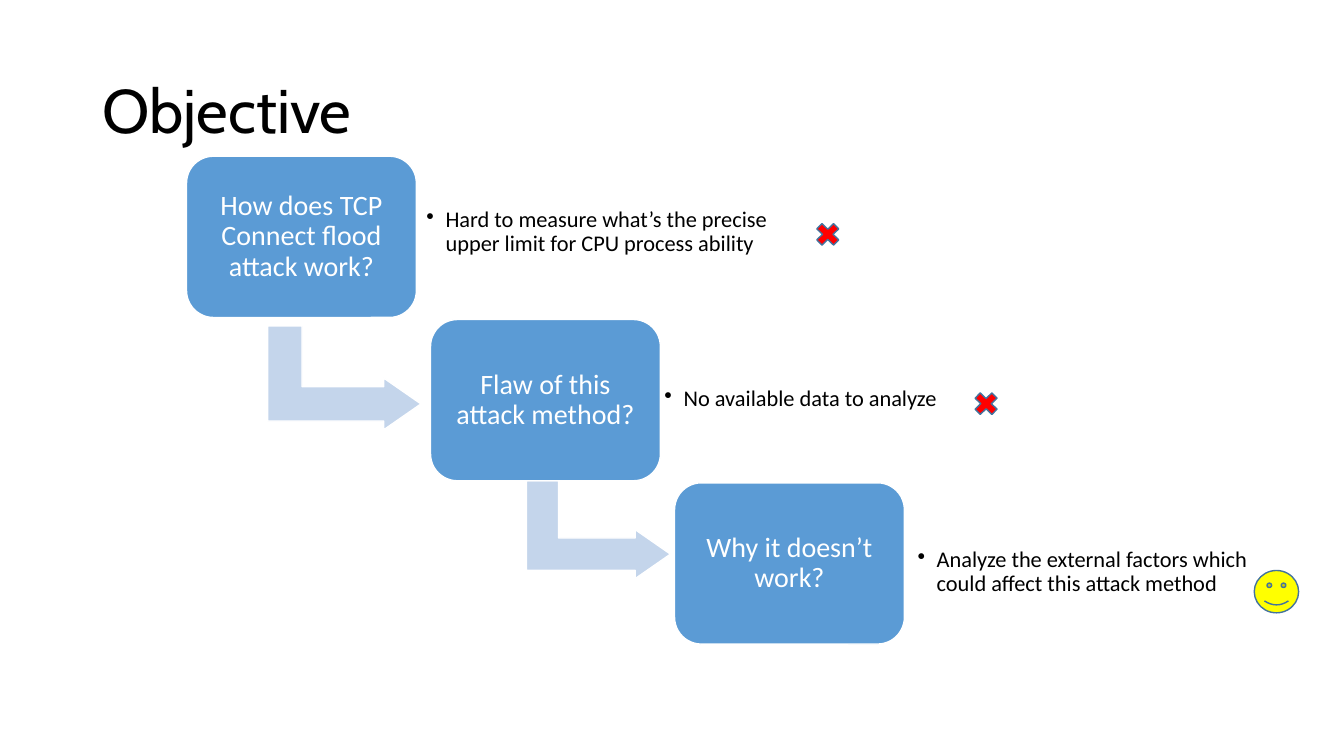
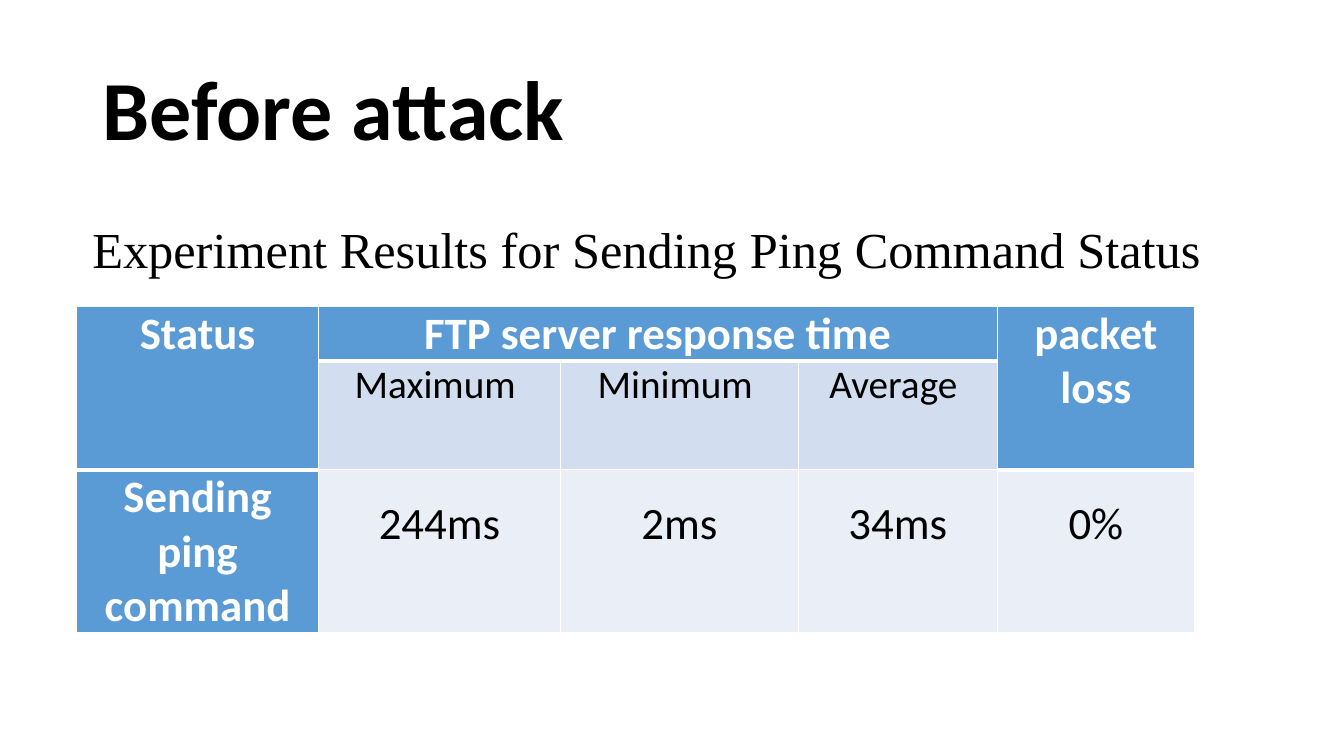
from lxml.etree import SubElement
from pptx import Presentation
from pptx.dml.color import RGBColor
from pptx.enum.shapes import MSO_SHAPE
from pptx.enum.text import MSO_ANCHOR, PP_ALIGN
from pptx.oxml.ns import qn
from pptx.util import Inches, Pt

BLUE = RGBColor(0x5B, 0x9B, 0xD5)
PALE = RGBColor(0xC4, 0xD5, 0xEB)
EDGE = RGBColor(0x43, 0x73, 0x9E)
BAND = RGBColor(0xD2, 0xDE, 0xEF)
LIGHT = RGBColor(0xEA, 0xEF, 0xF7)
RED = RGBColor(0xFF, 0, 0)
YELLOW = RGBColor(0xFF, 0xFF, 0)
WHITE = RGBColor(0xFF, 0xFF, 0xFF)
BLACK = RGBColor(0, 0, 0)


def write(frame, text, size, font="Calibri", color=BLACK, bold=False,
          align=PP_ALIGN.LEFT, space=1.0, pad=None, wrap=True, bullet=False):
    frame.word_wrap = wrap
    frame.vertical_anchor = MSO_ANCHOR.MIDDLE
    if pad is not None:
        frame.margin_left = frame.margin_right = Inches(pad)
        frame.margin_top = frame.margin_bottom = Inches(pad)
    frame.text = text
    for para in frame.paragraphs:
        para.alignment = align
        para.line_spacing = space
        face = para.runs[0].font
        face.name, face.size, face.bold = font, Pt(size), bold
        face.color.rgb = color
        if bullet:
            props = para._p.get_or_add_pPr()
            props.set("marL", str(Inches(0.19)))
            props.set("indent", str(-Inches(0.19)))
            SubElement(props, qn("a:buChar")).set("char", "•")


def draw(slide, kind, left, top, width, height, fill, line):
    shape = slide.shapes.add_shape(
        kind, Inches(left), Inches(top), Inches(width), Inches(height))
    shape.shadow.inherit = False
    shape.fill.solid()
    shape.fill.fore_color.rgb = fill
    shape.line.color.rgb = line
    shape.line.width = Pt(1)
    return shape


deck = Presentation()
deck.slide_width, deck.slide_height = Inches(13.33), Inches(7.5)

slides = []
for text, size, font, bold in [("Objective", 44, "Cabin", False),
                               ("Before attack", 60, "Calibri", True)]:
    slide = deck.slides.add_slide(deck.slide_layouts[6])
    title = slide.shapes.add_textbox(
        Inches(0.92), Inches(0.4), Inches(11.5), Inches(1.45))
    write(title.text_frame, text, size, font=font, bold=bold, space=0.9)
    slides.append(slide)
goals, results = slides

for left, top, width, height in [(2.9, 2.99, 1.03, 1.52),
                                 (5.45, 4.54, 0.97, 1.43)]:
    arrow = draw(goals, MSO_SHAPE.BENT_UP_ARROW, left, top, width, height,
                 PALE, WHITE)
    arrow.rotation = 90
    for spot, value in enumerate([0.33, 0.25, 0.36]):
        arrow.adjustments[spot] = value

steps = [
    ("How does TCP Connect flood attack work?",
     "Hard to measure what’s the precise upper limit for CPU process ability",
     (4.16, 1.66, 3.86, 1.29)),
    ("Flaw of this attack method?", "No available data to analyze",
     (6.52, 3.32, 4.39, 1.29)),
    ("Why it doesn’t work?",
     "Analyze the external factors which could affect this attack method",
     (9.03, 5.07, 3.59, 1.22)),
]
for index, (ask, note, place) in enumerate(steps):
    step = draw(goals, MSO_SHAPE.ROUNDED_RECTANGLE, 1.85 + 2.42 * index,
                1.55 + 1.62 * index, 2.28, 1.6, BLUE, WHITE)
    write(step.text_frame, ask, 20, color=WHITE, align=PP_ALIGN.CENTER,
          space=0.9, pad=0.08)
    label = goals.shapes.add_textbox(*[Inches(value) for value in place])
    write(label.text_frame, note, 16, space=0.9, pad=0.07, bullet=True)

for left, top in [(8.05, 2.17), (9.62, 3.85)]:
    draw(goals, MSO_SHAPE.MATH_MULTIPLY, left, top, 0.32, 0.31, RED, EDGE)
draw(goals, MSO_SHAPE.SMILEY_FACE, 12.44, 5.66, 0.44, 0.42, YELLOW, EDGE)

rows = [
    ["Status", "FTP server response time", "", "", "packet\nloss"],
    ["", "Maximum ", "Minimum ", "Average ", ""],
    ["Sending ping command", "244ms", "2ms", "34ms", "0%"],
]
widths = [2.4, 2.4, 2.36, 1.97, 1.96]
heights = [0.54, 1.08, 1.62]
grid = results.shapes.add_table(
    3, 5, Inches(0.76), Inches(3.04), Inches(sum(widths)),
    Inches(sum(heights))).table
grid.first_row = grid.horz_banding = False
for column, width in zip(grid.columns, widths):
    column.width = Inches(width)
for row, height in zip(grid.rows, heights):
    row.height = Inches(height)
grid.cell(0, 0).merge(grid.cell(1, 0))
grid.cell(0, 1).merge(grid.cell(0, 3))
grid.cell(0, 4).merge(grid.cell(1, 4))

for r, row in enumerate(rows):
    for c, text in enumerate(row):
        cell = grid.cell(r, c)
        top = r == 0 or (r == 1 and c in (0, 4))
        head = top or c == 0
        sides = {"lnL": 1, "lnR": 1, "lnB": 3 if top else 1}
        if r == 0:
            sides = {"lnL": 1, "lnR": 1, "lnT": 1, "lnB": 3}
        props = cell._tc.get_or_add_tcPr()
        for side, width in sides.items():
            line = SubElement(props, qn("a:" + side), w=str(Pt(width)))
            paint = SubElement(line, qn("a:solidFill"))
            SubElement(paint, qn("a:srgbClr"), val=str(WHITE))
        cell.fill.solid()
        cell.fill.fore_color.rgb = BLUE if head else BAND if r == 1 else LIGHT
        cell.margin_left = cell.margin_right = Inches(0.07)
        cell.margin_top = cell.margin_bottom = 0
        if text:
            write(cell.text_frame, text, 28 if r == 1 else 32, bold=head,
                  color=WHITE if head else BLACK, align=PP_ALIGN.CENTER,
                  space=1.5 if r == 2 and c else 1.0)
        cell.vertical_anchor = MSO_ANCHOR.TOP

caption = results.shapes.add_textbox(
    Inches(0.76), Inches(2.11), Inches(11.31), Inches(0.71))
write(caption.text_frame, "Experiment Results for Sending Ping Command Status",
      36, font="Times New Roman", align=PP_ALIGN.CENTER, wrap=False)

deck.save("out.pptx")
